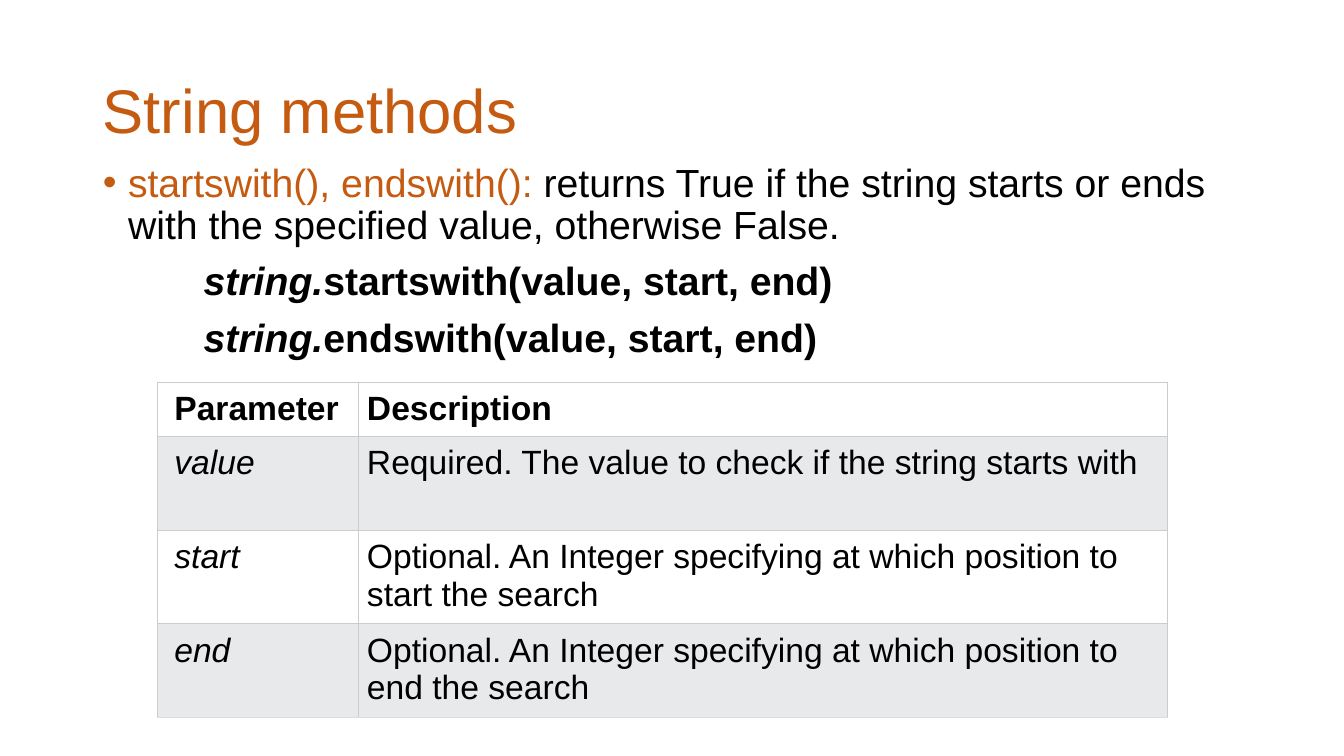
from lxml.etree import SubElement
from pptx import Presentation
from pptx.dml.color import RGBColor
from pptx.enum.text import MSO_ANCHOR as Anchor, MSO_AUTO_SIZE as AutoSize
from pptx.oxml.ns import qn
from pptx.util import Inches, Pt

COLORS = {
    "accent": "C55A11", "text": "000000", "plain": "FFFFFF",
    "band": "E7E9EB", "grid": "CCCCCC", "bottom": "DDDDDD",
}
FONT = "Arial"
TITLE = "String methods"
SUMMARY = [
    ("startswith(), endswith(): ", {"color": "accent"}),
    ("returns True if the string starts or ends with the specified value, otherwise False.", {}),
]
SIGNATURES = ["startswith(value, start, end)", "endswith(value, start, end)"]
PARAMETERS = [
    ("Parameter", "Description"),
    ("value", "Required. The value to check if the string starts with"),
    ("start", "Optional. An Integer specifying at which position to start the search"),
    ("end", "Optional. An Integer specifying at which position to end the search"),
]
COLUMN_WIDTHS = [2, 8.02]
ROW_HEIGHTS = [0.54, 0.93, 0.93, 0.93]
CELL_MARGIN = 0.08
FIRST_MARGIN = 0.17


def add_text(paragraph, text, size=28, color="text", bold=False, italic=False):
    run = paragraph.add_run()
    run.text = text
    run.font.name = FONT
    run.font.size = Pt(size)
    run.font.bold = bold
    run.font.italic = italic
    run.font.color.rgb = RGBColor.from_string(COLORS[color])


def place(shape, left, top, width, height):
    shape.left, shape.top = Inches(left), Inches(top)
    shape.width, shape.height = Inches(width), Inches(height)
    shape.text_frame.auto_size = AutoSize.NONE
    shape.text_frame.word_wrap = True


def format_paragraph(paragraph, margin, indent=0, bullet=None):
    paragraph.line_spacing = 0.9
    paragraph.space_before = Pt(10)
    properties = paragraph._p.get_or_add_pPr()
    properties.set("marL", str(Inches(margin)))
    properties.set("indent", str(Inches(indent)))
    if bullet:
        SubElement(properties, qn("a:buFont"), typeface=FONT)
        SubElement(properties, qn("a:buChar"), char=bullet)
    else:
        SubElement(properties, qn("a:buNone"))


def add_borders(cell, bottom):
    properties = cell._tc.get_or_add_tcPr()
    for side, color in zip("LRTB", ["grid", "grid", "grid", bottom]):
        line = SubElement(properties, qn(f"a:ln{side}"), w=str(Pt(0.75)))
        fill = SubElement(line, qn("a:solidFill"))
        SubElement(fill, qn("a:srgbClr"), val=COLORS[color])


def fill_title(title):
    place(title, 0.92, 0.4, 11.5, 1.45)
    title.text_frame.vertical_anchor = Anchor.MIDDLE
    heading = title.text_frame.paragraphs[0]
    heading.line_spacing = 0.9
    add_text(heading, TITLE, size=44, color="accent")


def fill_body(body):
    place(body, 0.92, 1.57, 11.5, 4.76)
    summary = body.text_frame.paragraphs[0]
    format_paragraph(summary, 0.25, -0.25, "•")
    for text, style in SUMMARY:
        add_text(summary, text, **style)
    for call in SIGNATURES:
        signature = body.text_frame.add_paragraph()
        format_paragraph(signature, 1)
        add_text(signature, "string.", bold=True, italic=True)
        add_text(signature, call, bold=True)


def add_parameters(slide):
    table = slide.shapes.add_table(
        len(PARAMETERS), len(COLUMN_WIDTHS), Inches(1.56), Inches(3.79),
        Inches(sum(COLUMN_WIDTHS)), Inches(sum(ROW_HEIGHTS)),
    ).table
    table.first_row = table.horz_banding = False
    for column, width in zip(table.columns, COLUMN_WIDTHS):
        column.width = Inches(width)
    for r, entries in enumerate(PARAMETERS):
        table.rows[r].height = Inches(ROW_HEIGHTS[r])
        for c, entry in enumerate(entries):
            cell = table.cell(r, c)
            cell.margin_left = Inches(CELL_MARGIN if c else FIRST_MARGIN)
            cell.margin_right = cell.margin_top = cell.margin_bottom = Inches(CELL_MARGIN)
            add_borders(cell, "bottom" if r == len(PARAMETERS) - 1 else "grid")
            cell.fill.solid()
            cell.fill.fore_color.rgb = RGBColor.from_string(COLORS["band" if r % 2 else "plain"])
            add_text(cell.text_frame.paragraphs[0], entry, size=24,
                     bold=r == 0, italic=r > 0 and c == 0)


def main():
    deck = Presentation()
    deck.slide_width, deck.slide_height = Inches(13.33), Inches(7.5)
    slide = deck.slides.add_slide(deck.slide_layouts[1])
    fill_title(slide.shapes.title)
    fill_body(slide.placeholders[1])
    add_parameters(slide)
    slide.shapes.title.text_frame.paragraphs[0].alignment = 1
    deck.save("out.pptx")


if __name__ == "__main__":
    main()
